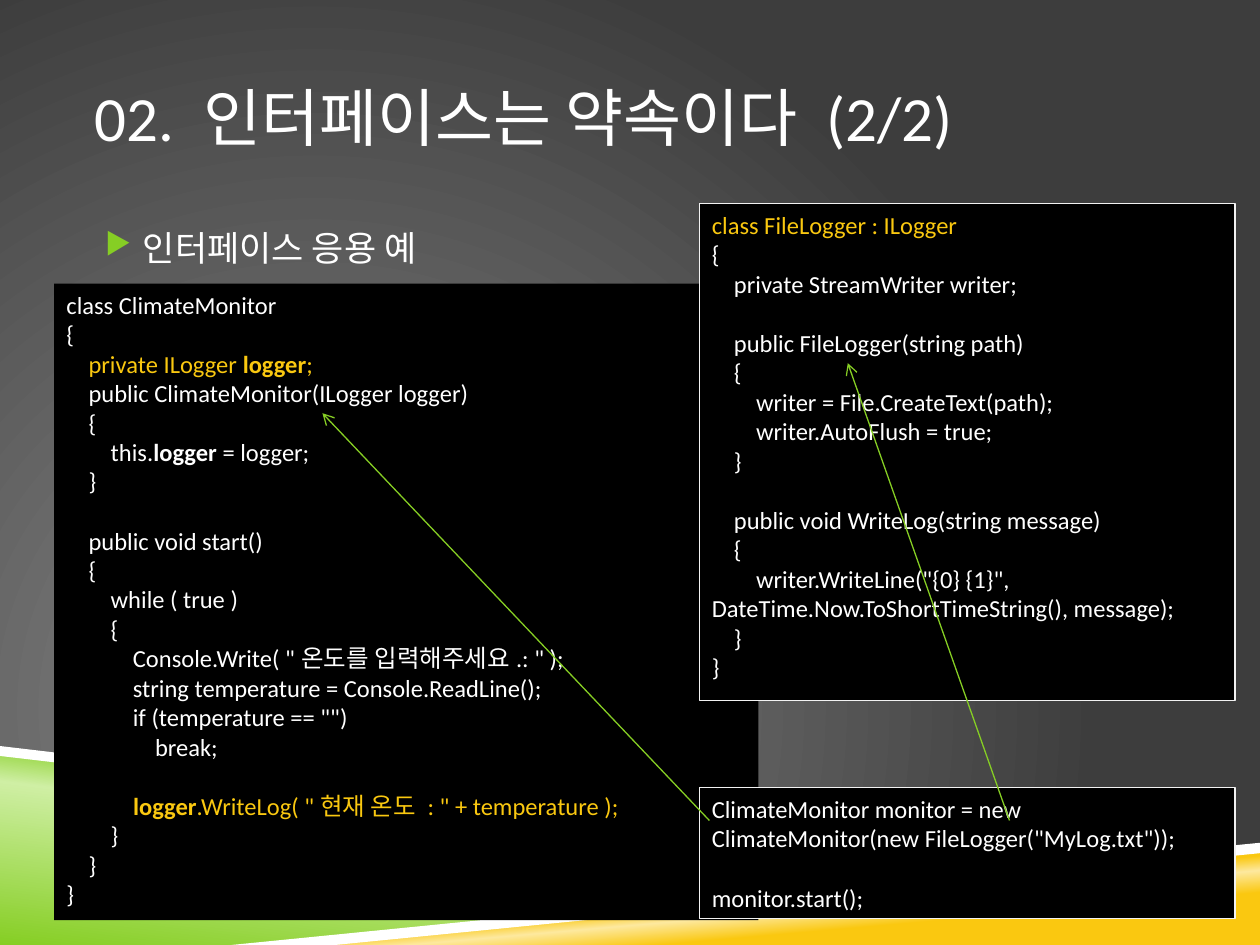
from lxml import etree
from pptx import Presentation
from pptx.dml.color import RGBColor
from pptx.enum.shapes import MSO_CONNECTOR, MSO_SHAPE
from pptx.enum.text import MSO_ANCHOR, PP_ALIGN
from pptx.oxml.ns import qn
from pptx.util import Cm, Pt

STRAIGHT = MSO_CONNECTOR.STRAIGHT
RECTANGLE = MSO_SHAPE.RECTANGLE
TOP, MIDDLE = MSO_ANCHOR.TOP, MSO_ANCHOR.MIDDLE
LEFT = PP_ALIGN.LEFT

COLORS = {
    "white": "FFFFFF", "black": "000000", "border": "F2F2F2",
    "green": "86CE24", "pale_green": "CFEFA4",
    "yellow": "FAC810", "pale_yellow": "FDE99F",
    "light_gray": "878787", "dark_gray": "3D3D3D",
}
RGB = {name: RGBColor.from_string(value) for name, value in COLORS.items()}
CODE_SIZE = 14
CODE_LINE = Pt(17)


def set_gradient(parent, stops, direction, **values):
    gradient = parent.find(".//" + qn("a:gradFill"))
    for child in list(gradient):
        gradient.remove(child)
    stop_list = etree.SubElement(gradient, qn("a:gsLst"))
    for position, color in stops:
        stop = etree.SubElement(stop_list, qn("a:gs"), pos=str(position * 1000))
        etree.SubElement(stop, qn("a:srgbClr"), val=COLORS[color])
    return etree.SubElement(gradient, qn(direction), **values)


def add_run(paragraph, text, size, color="white", bold=False):
    run = paragraph.add_run()
    run.text = text
    for name, value in {"name": "Calibri", "size": Pt(size), "bold": bold}.items():
        setattr(run.font, name, value)
    run.font.color.rgb = RGB[color]


presentation = Presentation()
presentation.slide_width, presentation.slide_height = Cm(25.4), Cm(19.05)
slide = presentation.slides.add_slide(presentation.slide_layouts[6])
shapes = slide.shapes

# Background: radial gray gradient
slide.background.fill.gradient()
circle = set_gradient(slide.element, [(0, "light_gray"), (100, "dark_gray")],
                      "a:path", path="circle")
etree.SubElement(circle, qn("a:fillToRect"), l="50000", t="100000", r="100000", b="50000")

# Slanted bands along the bottom: points in cm, gradient stops, angle
bands = [
    ([(0, 15.16), (20.12, 17.58), (5.08, 19.05), (0, 19.05)],
     [(0, "green"), (52, "pale_green"), (66, "green")], 277),
    ([(5.03, 19.05), (25.4, 17.07), (25.4, 19.05)],
     [(28, "yellow"), (40, "pale_yellow"), (48, "yellow")], 265),
    ([(0, 15.04), (0, 15.24), (20.07, 17.6), (21.13, 17.53)], None, None),
    ([(25.4, 16.99), (4.67, 19.05), (6.76, 19.05), (25.4, 17.2)], None, None),
]
for points, stops, angle in bands:
    corners = [(Cm(x), Cm(y)) for x, y in points]
    builder = shapes.build_freeform(*corners[0])
    builder.add_line_segments(corners[1:], close=True)
    band = builder.convert_to_shape()
    band.shadow.inherit = False
    band.line.fill.background()
    if stops:
        band.fill.gradient()
        set_gradient(band.element, stops, "a:lin", ang=str(angle * 60000), scaled="0")
    else:
        band.fill.solid()
        band.fill.fore_color.rgb = RGB["white"]

# Title and bullet
headings = [
    ("02. 인터페이스는 약속이다 (2/2)", 36, 0.76, 3.18, MIDDLE, False),
    ("인터페이스 응용 예", 20, 4.45, 11.48, TOP, True),
]
for text, size, top, height, anchor, bulleted in headings:
    frame = shapes.add_textbox(Cm(1.91), Cm(top), Cm(21.59), Cm(height)).text_frame
    frame_format = {"word_wrap": True, "vertical_anchor": anchor,
                    "margin_left": 0, "margin_right": 0}
    for name, value in frame_format.items():
        setattr(frame, name, value)
    paragraph = frame.paragraphs[0]
    if bulleted:
        properties = paragraph._p.get_or_add_pPr()
        properties.set("marL", str(Cm(0.97)))
        properties.set("indent", str(Cm(-0.76)))
        bullet_color = etree.SubElement(properties, qn("a:buClr"))
        etree.SubElement(bullet_color, qn("a:srgbClr"), val=COLORS["green"])
        etree.SubElement(properties, qn("a:buSzPct"), val="85000")
        etree.SubElement(properties, qn("a:buChar"), char="▶")
    add_run(paragraph, text, size)

# Code listings: a leading ! marks a highlighted line, *...* marks bold
MONITOR_CODE = """class ClimateMonitor
{
!    private ILogger *logger*;
    public ClimateMonitor(ILogger logger)
    {
        this.*logger* = logger;
    }

    public void start()
    {
        while ( true )
        {
            Console.Write( "온도를 입력해주세요.: " );
            string temperature = Console.ReadLine();
            if (temperature == "")
                break;

!            *logger*.WriteLog( "현재 온도 : " + temperature );
        }
    }
}"""
LOGGER_CODE = """!class FileLogger : ILogger
{
    private StreamWriter writer;

    public FileLogger(string path)
    {
        writer = File.CreateText(path);
        writer.AutoFlush = true;
    }

    public void WriteLog(string message)
    {
        writer.WriteLine("{0} {1}", DateTime.Now.ToShortTimeString(), message);
    }
}"""
MAIN_CODE = """ClimateMonitor monitor = new ClimateMonitor(new FileLogger("MyLog.txt"));

monitor.start();"""

code_boxes = [
    (MONITOR_CODE, (1.09, 5.72, 14.2, 12.83), False),
    (LOGGER_CODE, (14.1, 4.11, 10.8, 10.01), True),
    (MAIN_CODE, (14.1, 15.88, 10.8, 2.64), True),
]
for code, place, outlined in code_boxes:
    box = shapes.add_shape(RECTANGLE, *map(Cm, place))
    box.shadow.inherit = False
    box.fill.solid()
    box.fill.fore_color.rgb = RGB["black"]
    if outlined:
        box.line.color.rgb = RGB["border"]
        box.line.width = Pt(0.75)
    else:
        box.line.fill.background()
    frame = box.text_frame
    frame.word_wrap = True
    frame.vertical_anchor = TOP
    paragraph, gap = frame.paragraphs[0], None
    for number, line in enumerate(code.split("\n")):
        if not line:
            gap = CODE_LINE
            continue
        if number:
            paragraph = frame.add_paragraph()
        paragraph.alignment = LEFT
        if gap:
            paragraph.space_before, gap = gap, None
        color = "yellow" if line.startswith("!") else "white"
        for index, part in enumerate(line.lstrip("!").split("*")):
            if part:
                add_run(paragraph, part, CODE_SIZE, color, bold=index % 2 == 1)

# Arrows from the main code to the two constructors
arrows = [(14.3, 16.54, 6.5, 8.33), (20.35, 16.54, 17.09, 7.32)]
for ends in arrows:
    arrow = shapes.add_connector(STRAIGHT, *map(Cm, ends))
    arrow.line.color.rgb = RGB["green"]
    arrow.line.width = Pt(0.75)
    etree.SubElement(arrow.line._get_or_add_ln(), qn("a:tailEnd"), type="arrow")
    etree.SubElement(arrow.element.spPr, qn("a:effectLst"))

presentation.save("out.pptx")
